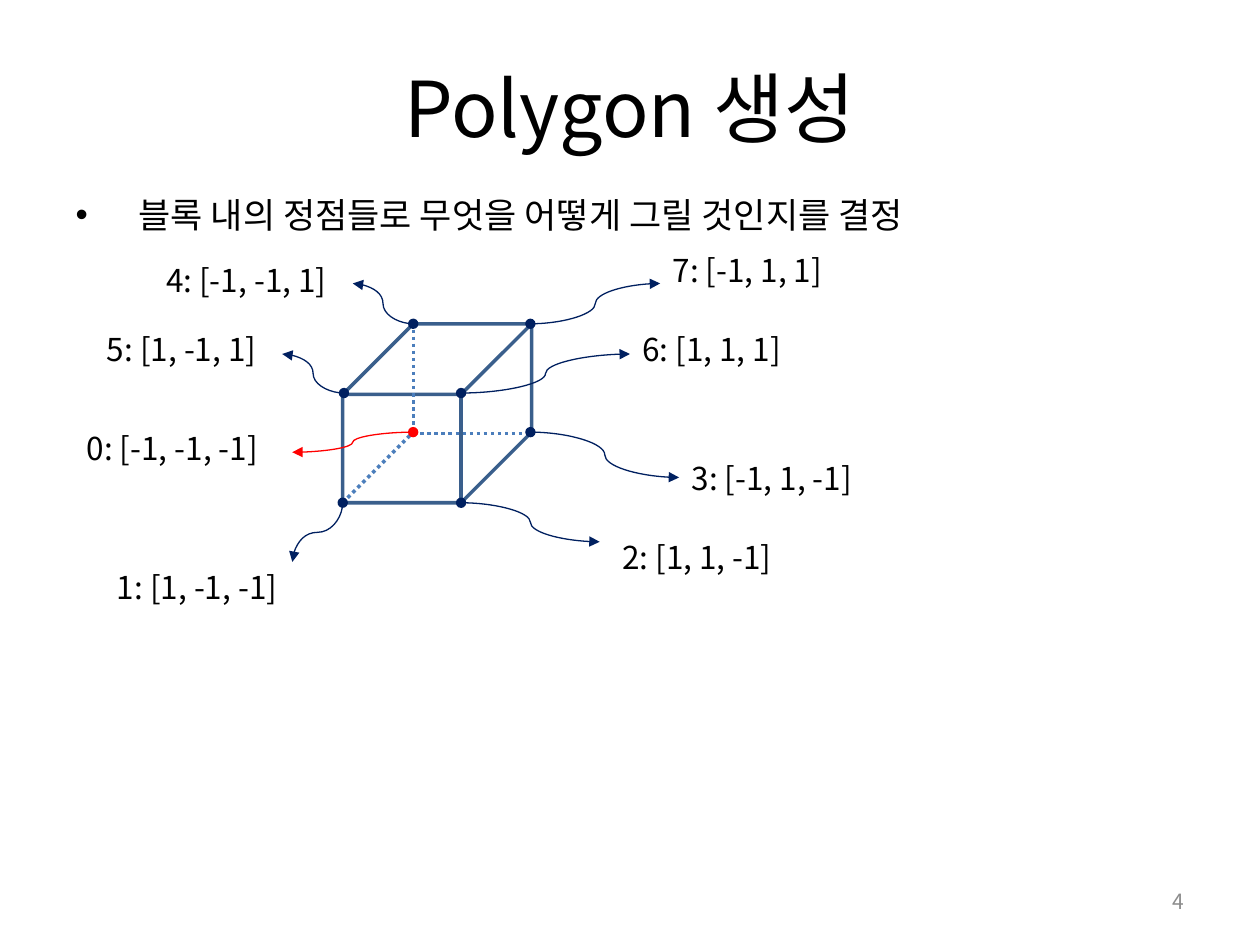
from lxml.etree import SubElement
from pptx import Presentation
from pptx.dml.color import RGBColor
from pptx.enum.dml import MSO_LINE
from pptx.enum.shapes import MSO_CONNECTOR, MSO_SHAPE
from pptx.enum.text import MSO_ANCHOR, MSO_AUTO_SIZE, PP_ALIGN
from pptx.oxml.ns import qn
from pptx.util import Inches, Pt

FONT = "Noto Sans CJK KR"
BLACK = RGBColor(0x00, 0x00, 0x00)
GRAY = RGBColor(0x8C, 0x8C, 0x8C)
EDGE = RGBColor(0x3A, 0x5F, 0x8C)
HIDDEN_EDGE = RGBColor(0x4B, 0x7E, 0xBC)
NAVY = RGBColor(0x00, 0x20, 0x60)
RED = RGBColor(0xFF, 0x00, 0x00)


def write(sp, box, text, size, color=BLACK, align=PP_ALIGN.LEFT, anchor=MSO_ANCHOR.TOP):
    sp.left, sp.top, sp.width, sp.height = [Inches(v) for v in box]
    tf = sp.text_frame
    tf.word_wrap = True
    tf.auto_size = MSO_AUTO_SIZE.NONE
    tf.vertical_anchor = anchor
    p = tf.paragraphs[0]
    p.text = text
    p.alignment = align
    p.font.size = Pt(size)
    p.font.color.rgb = color
    p.font.name = FONT
    SubElement(p._p.pPr.find(qn("a:defRPr")), qn("a:ea"), typeface=FONT)
    return p


def connect(kind, start, end, color, width):
    c = s.shapes.add_connector(kind, *[Inches(v) for v in (*start, *end)])
    c.line.color.rgb = color
    c.line.width = Pt(width)
    SubElement(c._element.spPr, qn("a:effectLst"))
    return c


prs = Presentation()
prs.slide_width, prs.slide_height = Inches(10), Inches(7.5)
s = prs.slides.add_slide(prs.slide_layouts[1])

write(s.shapes.title, (0.5, 0.3, 9, 1.09), "Polygon 생성", 44,
      align=PP_ALIGN.CENTER, anchor=MSO_ANCHOR.MIDDLE)
p = write(s.placeholders[1], (0.5, 1.55, 9, 0.47),
          "블록 내의 정점들로 무엇을 어떻게 그릴 것인지를 결정", 20)
p.line_spacing = 0.8
p._p.pPr.set("marL", str(Inches(0.5)))
p._p.pPr.set("indent", str(-Inches(0.5)))
write(s.shapes.add_textbox(0, 0, 0, 0), (7.17, 6.95, 2.33, 0.4), "4", 12,
      GRAY, PP_ALIGN.RIGHT, MSO_ANCHOR.MIDDLE)

cube = s.shapes.add_shape(MSO_SHAPE.CUBE, Inches(2.72), Inches(2.57), Inches(1.5), Inches(1.42))
cube.adjustments[0] = 0.395
cube.shadow.inherit = False
cube.fill.background()
cube.line.color.rgb = EDGE
cube.line.width = Pt(2)

hidden_edges = [
    ((3.28, 2.56), (3.28, 3.47)),
    ((3.28, 3.44), (4.18, 3.44)),
    ((2.72, 3.99), (3.27, 3.44)),
]
for start, end in hidden_edges:
    c = connect(MSO_CONNECTOR.STRAIGHT, start, end, HIDDEN_EDGE, 2)
    c.line.dash_style = MSO_LINE.ROUND_DOT

vertices = [
    ("0: [-1, -1, -1]", (3.28, 3.43), (2.32, 3.59), (0.59, 3.36)),
    ("1: [1, -1, -1]", (2.72, 3.99), (2.32, 4.46), (0.83, 4.46)),
    ("2: [1, 1, -1]", (3.66, 3.99), (4.76, 4.3), (4.84, 4.22)),
    ("3: [-1, 1, -1]", (4.21, 3.43), (5.39, 3.79), (5.39, 3.59)),
    ("4: [-1, -1, 1]", (3.28, 2.57), (2.8, 2.25), (1.22, 2.02)),
    ("5: [1, -1, 1]", (2.73, 3.12), (2.24, 2.81), (0.75, 2.57)),
    ("6: [1, 1, 1]", (3.66, 3.12), (5, 2.81), (5, 2.57)),
    ("7: [-1, 1, 1]", (4.21, 2.57), (5.24, 2.25), (5.24, 1.94)),
]
for text, vertex, tip, label in vertices:
    color = RED if text.startswith("0") else NAVY
    downward = text.startswith("1")
    start, end = vertex, tip
    if downward:
        mid_x, mid_y = (vertex[0] + tip[0]) / 2, (vertex[1] + tip[1]) / 2
        half_w, half_h = (tip[1] - vertex[1]) / 2, (vertex[0] - tip[0]) / 2
        start, end = (mid_x - half_w, mid_y - half_h), (mid_x + half_w, mid_y + half_h)
    c = connect(MSO_CONNECTOR.CURVE, start, end, color, 0.75)
    if downward:
        c._element.spPr.find(qn("a:xfrm")).set("rot", "5400000")
    ln = c.line._get_or_add_ln()
    SubElement(ln, qn("a:headEnd"), type="oval")
    SubElement(ln, qn("a:tailEnd"), type="triangle")
    write(s.shapes.add_textbox(0, 0, 0, 0), (*label, 1.89, 0.4), text, 18)

prs.save("out.pptx")
